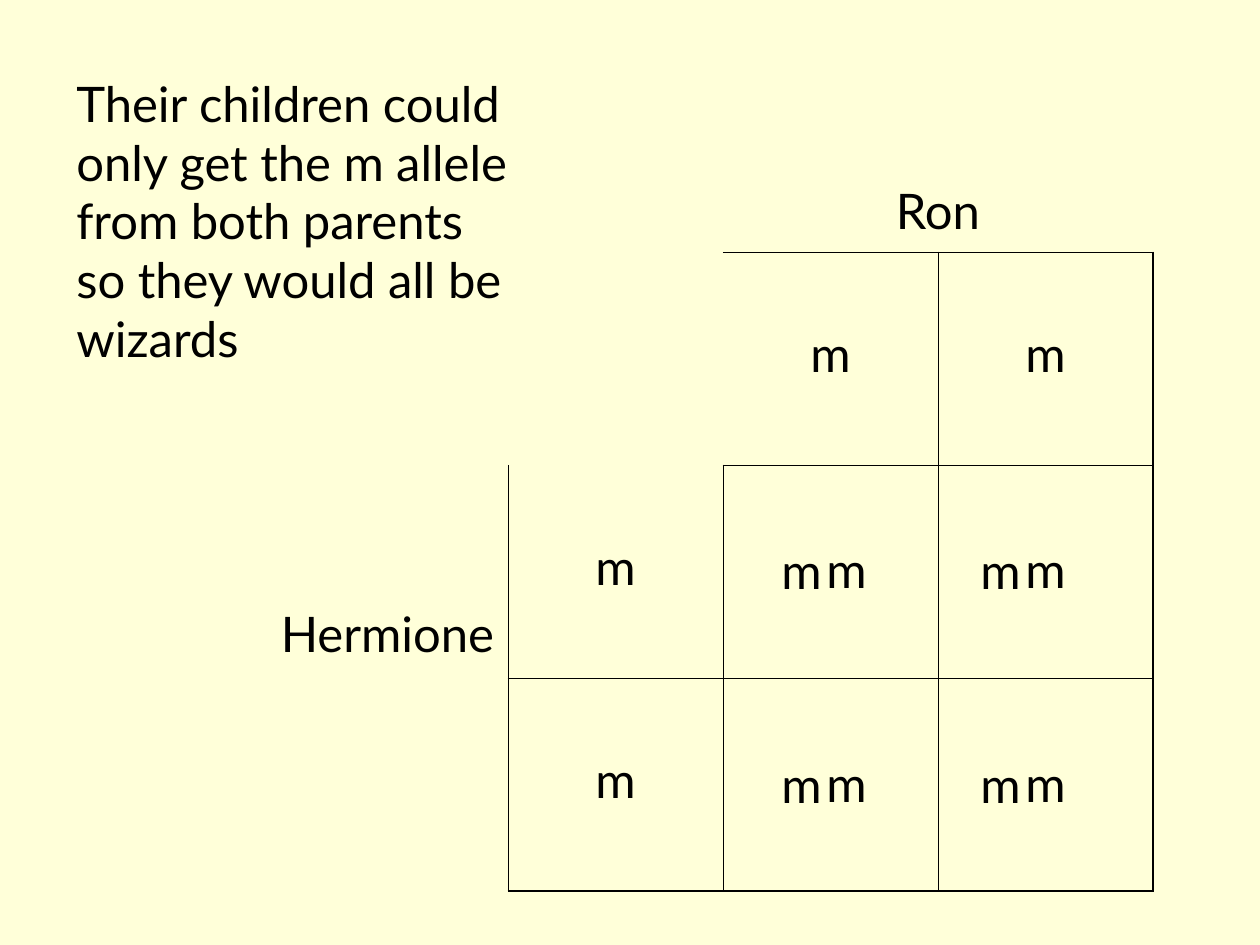
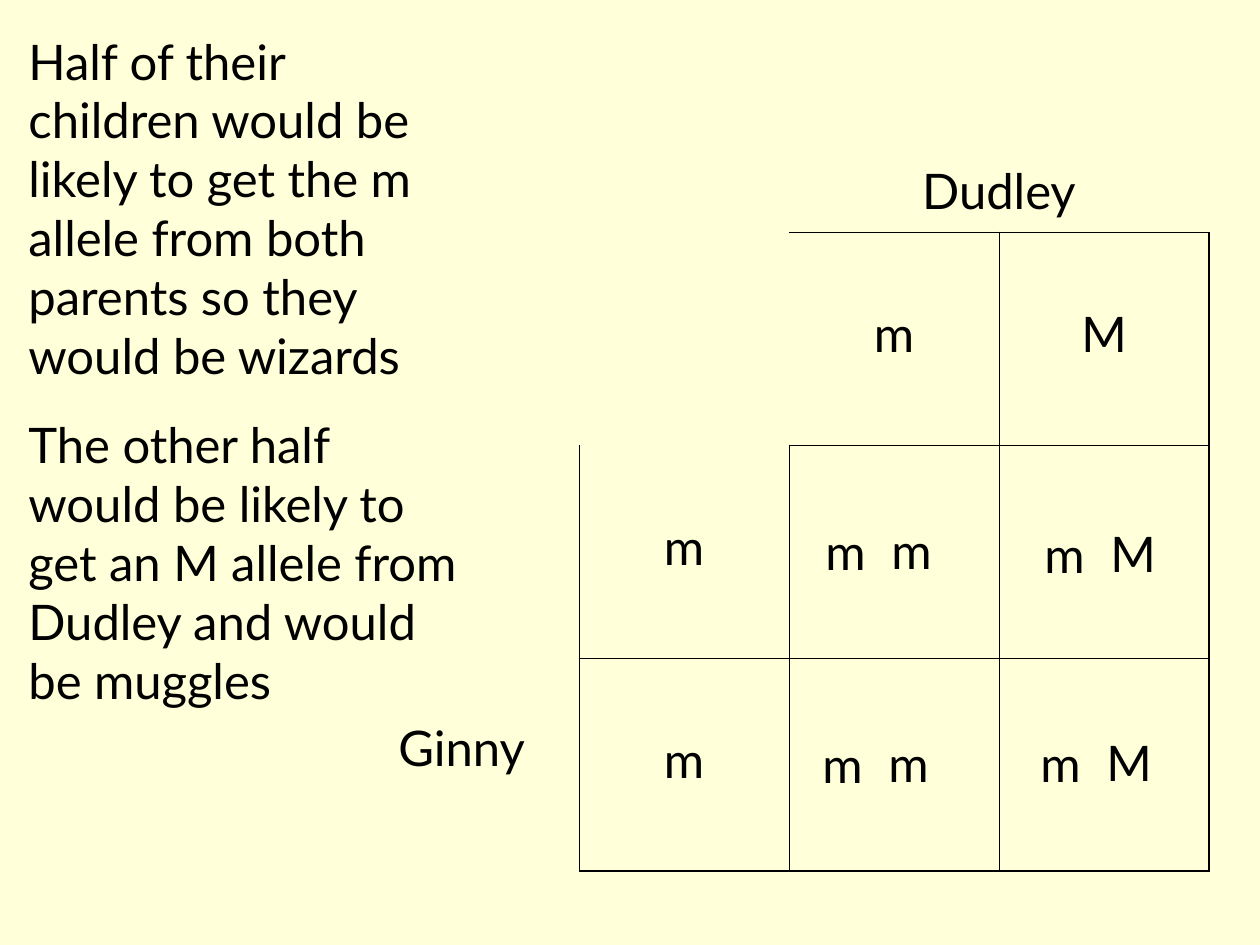
from dataclasses import dataclass

from lxml import etree
from pptx import Presentation
from pptx import util as u
from pptx.dml.color import RGBColor
from pptx.enum import text
from pptx.oxml import ns

PX = 914400 / 126  # EMU in one px


# Colours, type and line weights
@dataclass(frozen=True)
class Theme:
    paper: RGBColor = RGBColor(0xFF, 0xFF, 0xD9)
    ink: RGBColor = RGBColor(0, 0, 0)
    font: str = "Lato"
    size: float = 28
    paragraph_gap: float = 17.5
    inner_line: float = 0.45
    outer_line: float = 1.08


THEME = Theme()
NO_GRID_STYLE = "{2D5ABB26-0587-4C30-8999-92F81FD0307C}"
TEXT_LINE = 67   # height one line of cell text takes
HEADING_ROW, SQUARE_ROW = 143, 213
LETTER_WIDTH, LETTER_HEIGHT = 151, 72

# Content of each slide; "pairs" are the places of the children's genotypes
CROSSES = [
    dict(
        explanation=["Their children could only get the m allele from both "
                     "parents so they would all be wizards"],
        explanation_box=(64, 67, 459, 365),
        father="Ron", father_alleles="mm",
        mother="Hermione", mother_alleles="mm", mother_line=2,
        origin=(267, 109), name_column=241, square_column=215,
        pairs=[[(769, 534), (968, 534)], [(769, 748), (968, 748)]],
        letter_step=45,
    ),
    dict(
        explanation=["Half of their children would be likely to get the m "
                     "allele from both parents so they would be wizards",
                     "The other half would be likely to get an M allele from "
                     "Dudley and would be muggles"],
        explanation_box=(16, 25, 459, 690),
        father="Dudley", father_alleles="mM",
        mother="Ginny", mother_alleles="mm", mother_line=4,
        origin=(344, 89), name_column=235, square_column=210,
        pairs=[[(813, 515), (1032, 518)], [(810, 728), (1028, 727)]],
        letter_step=66,
    ),
]


def px(length):
    return u.Emu(round(length * PX))


def apply(target, formats):
    for name, value in formats.items():
        setattr(target, name, value)


def style_font(font):
    apply(font, dict(name=THEME.font, size=u.Pt(THEME.size)))
    font.color.rgb = THEME.ink


# Free text: explanations and single allele letters
def add_text(slide, box, lines):
    frame = slide.shapes.add_textbox(*map(px, box)).text_frame
    apply(frame, dict(word_wrap=True,
                      auto_size=text.MSO_AUTO_SIZE.SHAPE_TO_FIT_TEXT))
    for index, line in enumerate(lines):
        paragraph = frame.add_paragraph() if index else frame.paragraphs[0]
        paragraph.text = line
        style_font(paragraph.font)
        if index:
            paragraph.space_before = u.Pt(THEME.paragraph_gap)


def add_genotypes(slide, cross):
    for mother_allele, row in zip(cross["mother_alleles"], cross["pairs"]):
        for father_allele, (x, y) in zip(cross["father_alleles"], row):
            size = (LETTER_WIDTH, LETTER_HEIGHT)
            add_text(slide, (x, y, *size), [mother_allele])
            add_text(slide, (x + cross["letter_step"], y - 1, *size),
                     [father_allele])


# Punnett square
def write_cell(cell, label, line=1):
    cell.margin_top = px(5 + TEXT_LINE * line)
    paragraph = cell.text_frame.paragraphs[0]
    paragraph.text = label
    paragraph.alignment = text.PP_ALIGN.CENTER
    style_font(paragraph.font)


def draw_borders(cell, weights):
    """Set borders from side (L, R, T, B) to weight in points."""
    properties = cell._tc.get_or_add_tcPr()
    for position, (side, weight) in enumerate(weights.items()):
        line = etree.Element(ns.qn(f"a:ln{side}"), w=str(u.Pt(weight)))
        fill = etree.SubElement(line, ns.qn("a:solidFill"))
        etree.SubElement(fill, ns.qn("a:srgbClr"), val=str(THEME.ink))
        properties.insert(position, line)


def cell_borders(row, column):
    """The corner next to the two names stays open."""
    weights = {}
    if (row, column) != (1, 2):
        weights["L"] = THEME.inner_line
    weights["R"] = THEME.outer_line if column == 3 else THEME.inner_line
    if (row, column) != (2, 1):
        weights["T"] = THEME.inner_line
    weights["B"] = THEME.outer_line if row == 3 else THEME.inner_line
    return weights


def add_punnett_square(slide, cross):
    widths = [cross["name_column"]] + [cross["square_column"]] * 3
    heights = [HEADING_ROW] + [SQUARE_ROW] * 3
    extent = (*cross["origin"], sum(widths), sum(heights))
    square = slide.shapes.add_table(4, 4, *map(px, extent)).table
    apply(square, dict(first_row=False, horz_banding=False))
    square._tbl.tblPr.find(ns.qn("a:tableStyleId")).text = NO_GRID_STYLE
    for column, width in zip(square.columns, widths):
        column.width = px(width)
    for row, height in zip(square.rows, heights):
        row.height = px(height)
    for cell in square.iter_cells():
        cell.fill.background()

    # Open corner and the cells for the parents' names
    for first, last in [((0, 0), (1, 1)), ((0, 2), (0, 3)), ((2, 0), (3, 0))]:
        square.cell(*first).merge(square.cell(*last))
    write_cell(square.cell(0, 2), cross["father"])
    write_cell(square.cell(2, 0), cross["mother"], cross["mother_line"])
    draw_borders(square.cell(0, 2), {"B": THEME.inner_line})
    draw_borders(square.cell(2, 0), {"R": THEME.inner_line})

    # Parents' alleles along the two edges
    for index, allele in enumerate(cross["father_alleles"], start=2):
        write_cell(square.cell(1, index), allele)
    for index, allele in enumerate(cross["mother_alleles"], start=2):
        write_cell(square.cell(index, 1), allele)
    for row in (1, 2, 3):
        for column in (1, 2, 3):
            if (row, column) != (1, 1):
                draw_borders(square.cell(row, column),
                             cell_borders(row, column))


def main():
    deck = Presentation()
    apply(deck, dict(slide_width=px(1260), slide_height=px(945)))
    paper = deck.slide_master.background.fill
    paper.solid()
    paper.fore_color.rgb = THEME.paper
    blank = deck.slide_layouts.get_by_name("Blank")
    for cross in CROSSES:
        slide = deck.slides.add_slide(blank)
        add_punnett_square(slide, cross)
        add_text(slide, cross["explanation_box"], cross["explanation"])
        add_genotypes(slide, cross)
    deck.save("out.pptx")


if __name__ == "__main__":
    main()
